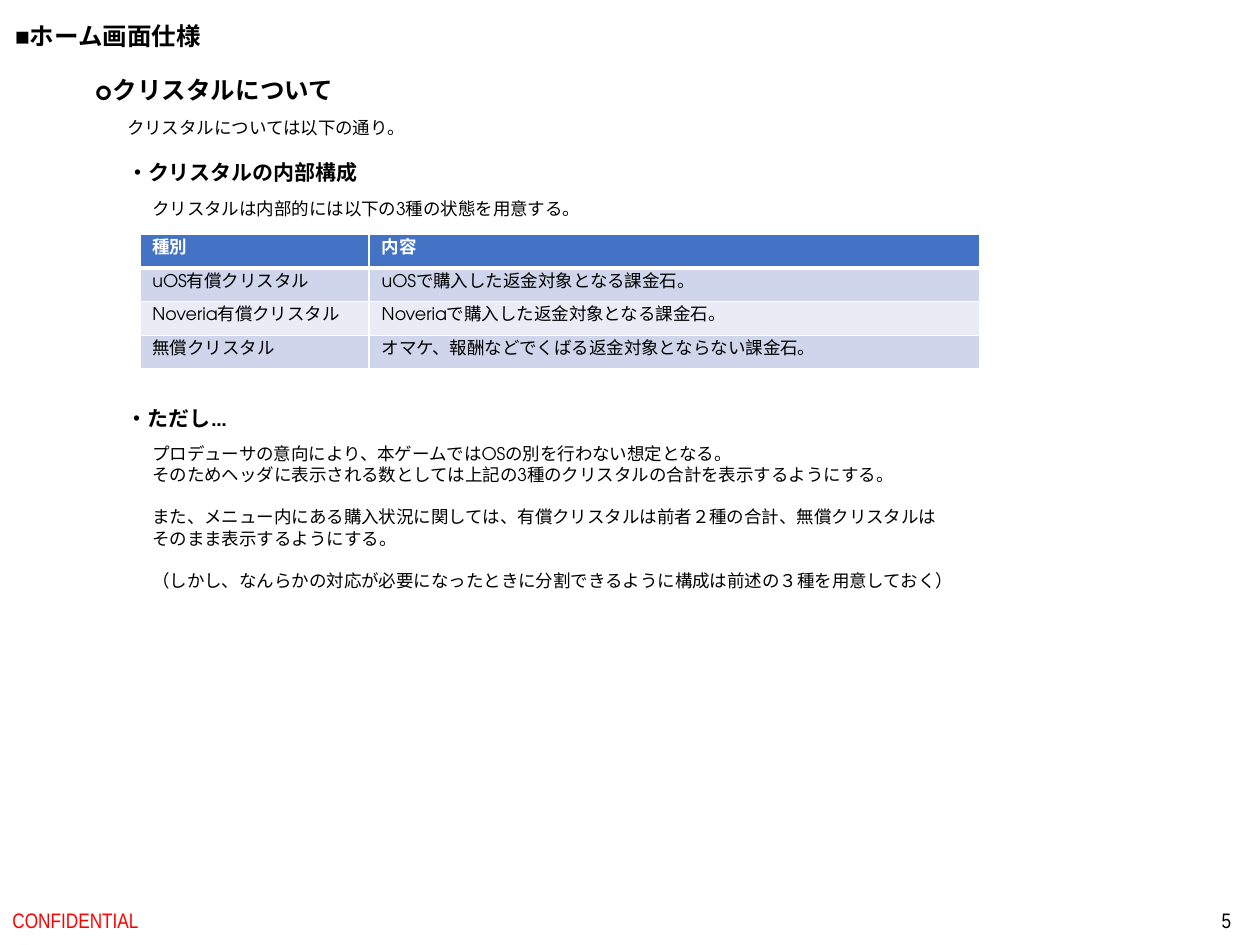
import pptx
import pptx.dml.color
import pptx.enum.text
import pptx.oxml
import pptx.oxml.ns
import pptx.util
from pptx.util import Inches

BODY_FONT = "TeX Gyre Adventor"
FOOTER_FONT = "Arial Narrow"
ANCHOR = pptx.enum.text.MSO_ANCHOR
ALIGN = pptx.enum.text.PP_ALIGN
AUTO_SIZE = pptx.enum.text.MSO_AUTO_SIZE

CRYSTAL_TYPES = [
    ("種別", "内容"),
    ("uOS有償クリスタル", "uOSで購入した返金対象となる課金石。"),
    ("Noveria有償クリスタル", "Noveriaで購入した返金対象となる課金石。"),
    ("無償クリスタル", "オマケ、報酬などでくばる返金対象とならない課金石。"),
]
DISPLAY_RULES = [
    ["プロデューサの意向により、本ゲームではOSの別を行わない想定となる。",
     "そのためヘッダに表示される数としては上記の3種のクリスタルの合計を表示するようにする。"],
    ["また、メニュー内にある購入状況に関しては、有償クリスタルは前者２種の合計、無償クリスタルは",
     "そのまま表示するようにする。"],
    ["（しかし、なんらかの対応が必要になったときに分割できるように構成は前述の３種を用意しておく）"],
]


def rgb(color):
    return pptx.dml.color.RGBColor.from_string(color)


def format_runs(paragraph, size, color="000000", bold=False, font=BODY_FONT):
    for run in paragraph.runs:
        run.font.size = pptx.util.Pt(size)
        run.font.bold = bold
        run.font.color.rgb = rgb(color)
        run.font.name = font
        east_asian = pptx.oxml.parse_xml(
            f'<a:ea {pptx.oxml.ns.nsdecls("a")} typeface="{font}"/>')
        run.font._element.find(pptx.oxml.ns.qn("a:latin")).addnext(east_asian)


def place(shape, left, top, width, height):
    shape.left, shape.top = Inches(left), Inches(top)
    shape.width, shape.height = Inches(width), Inches(height)


def set_title(slide, text):
    title = slide.shapes.title
    place(title, 0.02, 0.12, 1.77, 0.34)
    frame = title.text_frame
    frame.text = text
    frame.word_wrap = False
    frame.auto_size = AUTO_SIZE.SHAPE_TO_FIT_TEXT
    frame.vertical_anchor = ANCHOR.TOP
    frame.paragraphs[0].alignment = ALIGN.LEFT
    format_runs(frame.paragraphs[0], 14, bold=True, font="Arial")


def add_text(slide, groups, box, size, bold=False):
    """Add unwrapped text; groups of lines are set one line apart."""
    frame = slide.shapes.add_textbox(*map(Inches, box)).text_frame
    frame.word_wrap = False
    frame.auto_size = AUTO_SIZE.SHAPE_TO_FIT_TEXT
    frame.text = "\n".join(line for group in groups for line in group)
    for paragraph in frame.paragraphs:
        format_runs(paragraph, size, bold=bold)
    start = 0
    for group in groups[:-1]:
        start += len(group)
        frame.paragraphs[start].space_before = pptx.util.Pt(12)


def add_footer(slide, text, box, color, alignment):
    frame = slide.shapes.add_textbox(*map(Inches, box)).text_frame
    frame.word_wrap = True
    frame.vertical_anchor = ANCHOR.MIDDLE
    frame.text = text
    frame.paragraphs[0].alignment = alignment
    format_runs(frame.paragraphs[0], 12, color, font=FOOTER_FONT)


def set_borders(cell, bottom_width):
    properties = cell._tc.get_or_add_tcPr()
    widths = {"lnL": 1, "lnR": 1, "lnT": 1, "lnB": bottom_width}
    for position, (side, width) in enumerate(widths.items()):
        properties.insert(position, pptx.oxml.parse_xml(
            f'<a:{side} {pptx.oxml.ns.nsdecls("a")} w="{pptx.util.Pt(width)}">'
            '<a:solidFill><a:srgbClr val="FFFFFF"/></a:solidFill>'
            f'</a:{side}>'))


def add_crystal_table(slide):
    table = slide.shapes.add_table(
        len(CRYSTAL_TYPES), 2,
        Inches(1.11), Inches(1.86), Inches(6.67), Inches(1.07)).table
    for column, width in zip(table.columns, (1.82, 4.85)):
        column.width = Inches(width)
    for row, texts in enumerate(CRYSTAL_TYPES):
        header = row == 0
        fill = "4472C4" if header else ("E9EBF5", "CFD5EA")[row % 2]
        for column, text in enumerate(texts):
            cell = table.cell(row, column)
            cell.text = text
            cell.fill.solid()
            cell.fill.fore_color.rgb = rgb(fill)
            set_borders(cell, 3 if header else 1)
            format_runs(cell.text_frame.paragraphs[0], 10,
                        "FFFFFF" if header else "000000", header)


def main():
    deck = pptx.Presentation()
    deck.slide_width, deck.slide_height = Inches(10), Inches(7.5)
    slide = deck.slides.add_slide(deck.slide_layouts.get_by_name("Title Only"))

    set_title(slide, "■ホーム画面仕様")
    add_footer(slide, "CONFIDENTIAL", (0, 7.1, 3.38, 0.4), "FF0000", ALIGN.LEFT)
    add_footer(slide, "5", (7.62, 7.1, 2.25, 0.4), "000000", ALIGN.RIGHT)

    add_text(slide, [["○クリスタルについて"]], (0.65, 0.55, 2.17, 0.34), 14, True)
    add_text(slide, [["クリスタルについては以下の通り。"]], (0.91, 0.88, 2.45, 0.27), 10)
    add_text(slide, [["・クリスタルの内部構成"]], (0.91, 1.22, 2.05, 0.3), 12, True)
    add_text(slide, [["クリスタルは内部的には以下の3種の状態を用意する。"]],
             (1.11, 1.52, 3.64, 0.27), 10)
    add_crystal_table(slide)
    add_text(slide, [["・ただし…"]], (0.91, 3.17, 1.04, 0.3), 12, True)
    add_text(slide, DISPLAY_RULES, (1.11, 3.47, 6.65, 1.28), 10)

    deck.save("out.pptx")


if __name__ == "__main__":
    main()
